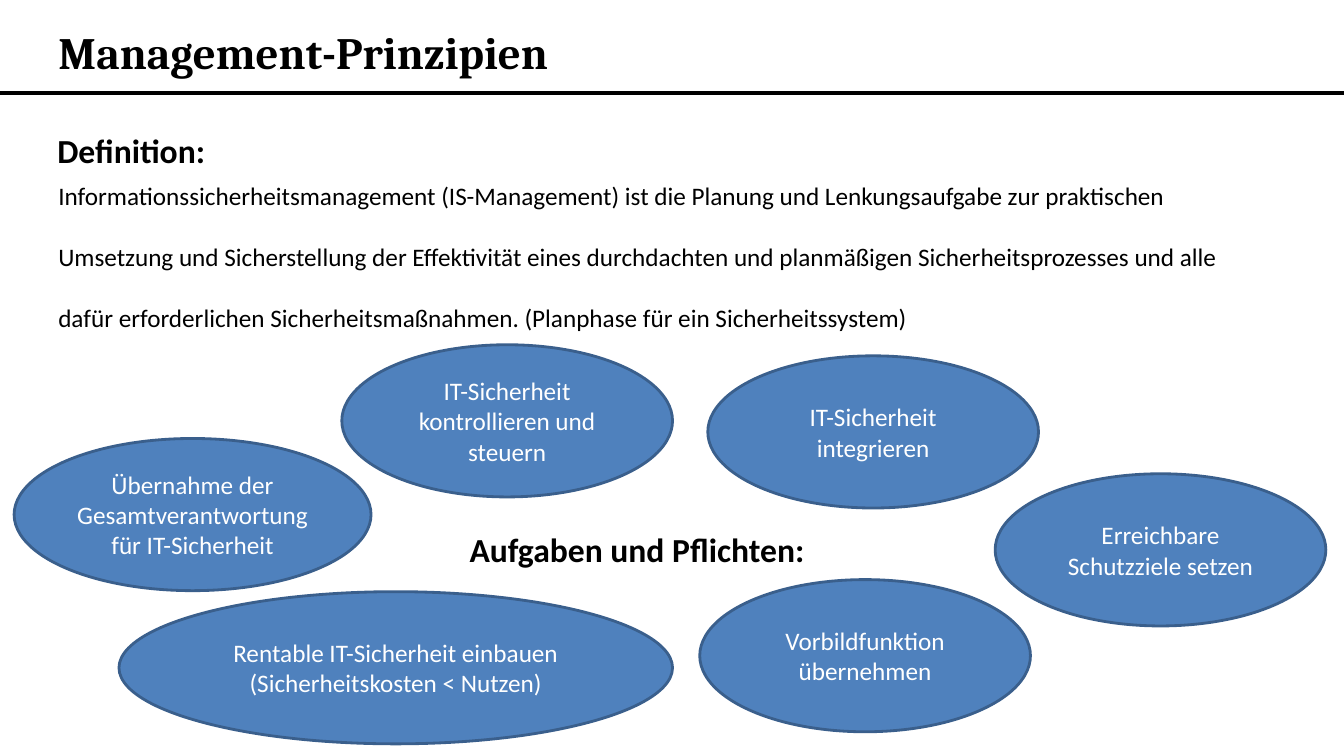
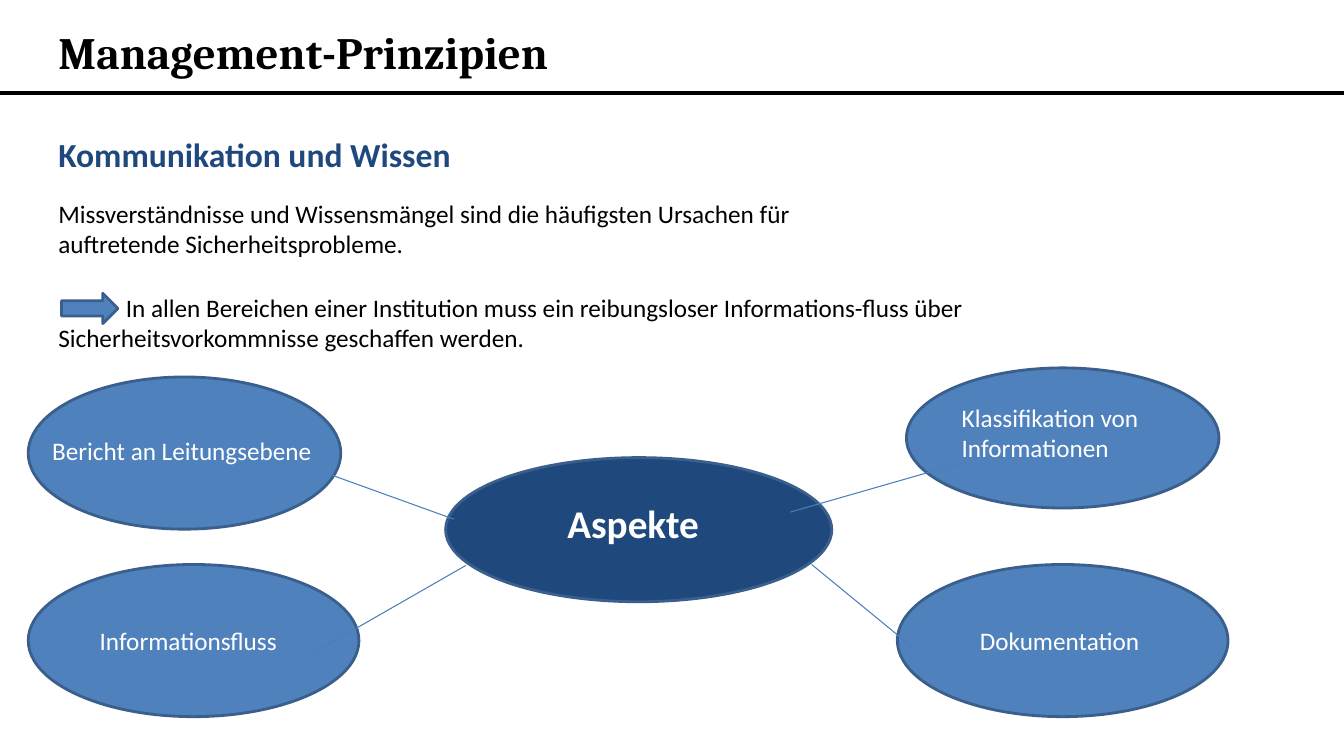
from pptx import Presentation
from pptx.dml.color import RGBColor
from pptx.enum.shapes import MSO_CONNECTOR as Link, MSO_SHAPE as Shape
from pptx.enum.text import MSO_ANCHOR as Anchor, MSO_AUTO_SIZE as Fit, PP_ALIGN as Align
from pptx.oxml.ns import qn
from pptx.util import Inches, Pt
from lxml.etree import SubElement

# Shared look
WIDTH, HEIGHT = 13.33, 7.5
BLACK = RGBColor(0x00, 0x00, 0x00)
WHITE = RGBColor(0xFF, 0xFF, 0xFF)
BLUE = RGBColor(0x4F, 0x81, 0xBD)
NAVY = RGBColor(0x1F, 0x49, 0x7D)
OUTLINE = RGBColor(0x3A, 0x5F, 0x8C)
LINK_BLUE = RGBColor(0x4B, 0x7E, 0xBC)
MARGIN = 0.48
RULE_Y = 0.92
OVAL_W, OVAL_H = 3.28, 1.51
TITLE = "Management-Prinzipien"
TITLE_BOX = (MARGIN, 0.19, 5.21, 0.64)

# Slide 1: definition and duties
DEFINITION = [
    "Informationssicherheitsmanagement (IS-Management) ist die Planung und "
    "Lenkungsaufgabe zur praktischen",
    "Umsetzung und Sicherstellung der Effektivität eines durchdachten und "
    "planmäßigen Sicherheitsprozesses und alle",
    "dafür erforderlichen Sicherheitsmaßnahmen. (Planphase für ein Sicherheitssystem)",
]
DUTIES = [  # text, left, top, width
    ("Erreichbare Schutzziele setzen", 9.87, 4.7, OVAL_W),
    ("IT-Sicherheit kontrollieren und steuern", 3.39, 3.42, OVAL_W),
    ("Übernahme der Gesamtverantwortung für IT-Sicherheit", 0.14, 4.35, 3.54),
    ("Rentable IT-Sicherheit einbauen (Sicherheitskosten < Nutzen)", 1.18, 5.87, 5.49),
    ("Vorbildfunktion übernehmen", 6.94, 5.75, OVAL_W),
    ("IT-Sicherheit integrieren", 7.02, 3.53, OVAL_W),
]

# Slide 2: communication and its aspects
CAUSES = ("Missverständnisse und Wissensmängel sind die häufigsten Ursachen für "
          "auftretende Sicherheitsprobleme.")
CONSEQUENCE = ("In allen Bereichen einer Institution muss ein reibungsloser "
               "Informations-fluss über Sicherheitsvorkommnisse geschaffen werden.")
HUB = (4.42, 4.54, 3.83, 1.43)
ASPECTS = [  # lines, oval, label corner, link
    (["Bericht an Leitungsebene"], (0.28, 3.74, 3.1, OVAL_H),
     (0.42, 4.27), (3.28, 4.71, 4.5, 5.15)),
    (["Informationsfluss"], (0.28, 5.6, OVAL_W, OVAL_H),
     (0.89, 6.15), (4.62, 5.61, 2.98, 6.55)),
    (["Klassifikation von", "Informationen"], (8.99, 3.65, 3.1, 1.39),
     (9.44, 3.94), (9.58, 4.58, 7.84, 5.08)),
    (["Dokumentation"], (8.9, 5.6, OVAL_W, OVAL_H),
     (9.62, 6.15), (8.05, 5.6, 9.11, 6.47)),
]


def write(frame, lines, size=18, bold=False, colour=BLACK, font="Calibri",
          align=Align.LEFT, anchor=Anchor.TOP, gap=0, indent=0, wrap=True):
    """Fill a text frame with one paragraph per line."""
    frame.word_wrap = wrap
    frame.auto_size = Fit.NONE
    frame.vertical_anchor = anchor
    for number, line in enumerate(lines):
        para = frame.add_paragraph() if number else frame.paragraphs[0]
        para.alignment = align
        para.space_before = Pt(gap if number else 0)
        if indent:
            para._p.get_or_add_pPr().set("indent", str(Inches(indent)))
        span = para.add_run()
        span.text = line
        span.font.name, span.font.size, span.font.bold = font, Pt(size), bold
        span.font.color.rgb = colour


def add_text(page, place, lines, **style):
    box = page.shapes.add_textbox(*map(Inches, place))
    write(box.text_frame, lines, **style)


def add_figure(page, place, kind=Shape.OVAL, fill=BLUE):
    figure = page.shapes.add_shape(kind, *map(Inches, place))
    figure.shadow.inherit = False
    figure.fill.solid()
    figure.fill.fore_color.rgb = fill
    figure.line.color.rgb = OUTLINE
    figure.line.width = Pt(2)
    return figure


def add_line(page, ends, colour, width):
    line = page.shapes.add_connector(Link.STRAIGHT, *map(Inches, ends))
    line.line.color.rgb = colour
    line.line.width = Pt(width)
    SubElement(line.element.spPr, qn("a:effectLst"))
    return line


def add_page(deck, layout):
    page = deck.slides.add_slide(layout)
    title = page.shapes.title
    title.left, title.top, title.width, title.height = map(Inches, TITLE_BOX)
    write(title.text_frame, [TITLE], size=32, bold=True, font="Cambria", wrap=False)
    return page


def build_duties(page):
    add_text(page, (0.47, 1.24, 3.66, 0.5), ["Definition:"], size=24, bold=True)
    add_text(page, (MARGIN, 1.74, 12.04, 1.62), DEFINITION, gap=22)
    add_text(page, (4.56, 5.2, 3.66, 0.5), ["Aufgaben und Pflichten:"], size=24, bold=True)
    for text, left, top, width in DUTIES:
        oval = add_figure(page, (left, top, width, OVAL_H))
        write(oval.text_frame, [text], colour=WHITE, align=Align.CENTER,
              anchor=Anchor.MIDDLE)


def build_aspects(page):
    add_text(page, (MARGIN, 1.28, 4.28, 0.5), ["Kommunikation und Wissen"],
             size=24, bold=True, colour=NAVY)
    add_text(page, (MARGIN, 1.92, 8.12, 0.71), [CAUSES])
    add_text(page, (MARGIN, 2.85, 9.42, 0.71), [CONSEQUENCE], indent=0.67)
    add_figure(page, (0.61, 2.91, 0.56, 0.3), kind=Shape.RIGHT_ARROW)
    add_figure(page, HUB, fill=NAVY)
    for lines, oval, corner, link in ASPECTS:
        add_figure(page, oval)
        add_line(page, link, LINK_BLUE, 0.75)
        add_text(page, (*corner, 3, 0.1 + 0.3 * len(lines)), lines, colour=WHITE)
    add_text(page, (5.53, 4.9, 3, 0.57), ["Aspekte"], size=28, bold=True, colour=WHITE)


def main():
    deck = Presentation()
    deck.slide_width, deck.slide_height = Inches(WIDTH), Inches(HEIGHT)
    layout = deck.slide_layouts.get_by_name("Title Only")
    pages = [add_page(deck, layout) for _ in range(2)]

    # The rule under the title belongs to the layout
    rule = add_line(pages[0], (0, RULE_Y, WIDTH, RULE_Y), BLACK, 3)
    layout.shapes.element.append(rule.element)

    build_duties(pages[0])
    build_aspects(pages[1])
    deck.save("out.pptx")


if __name__ == "__main__":
    main()
